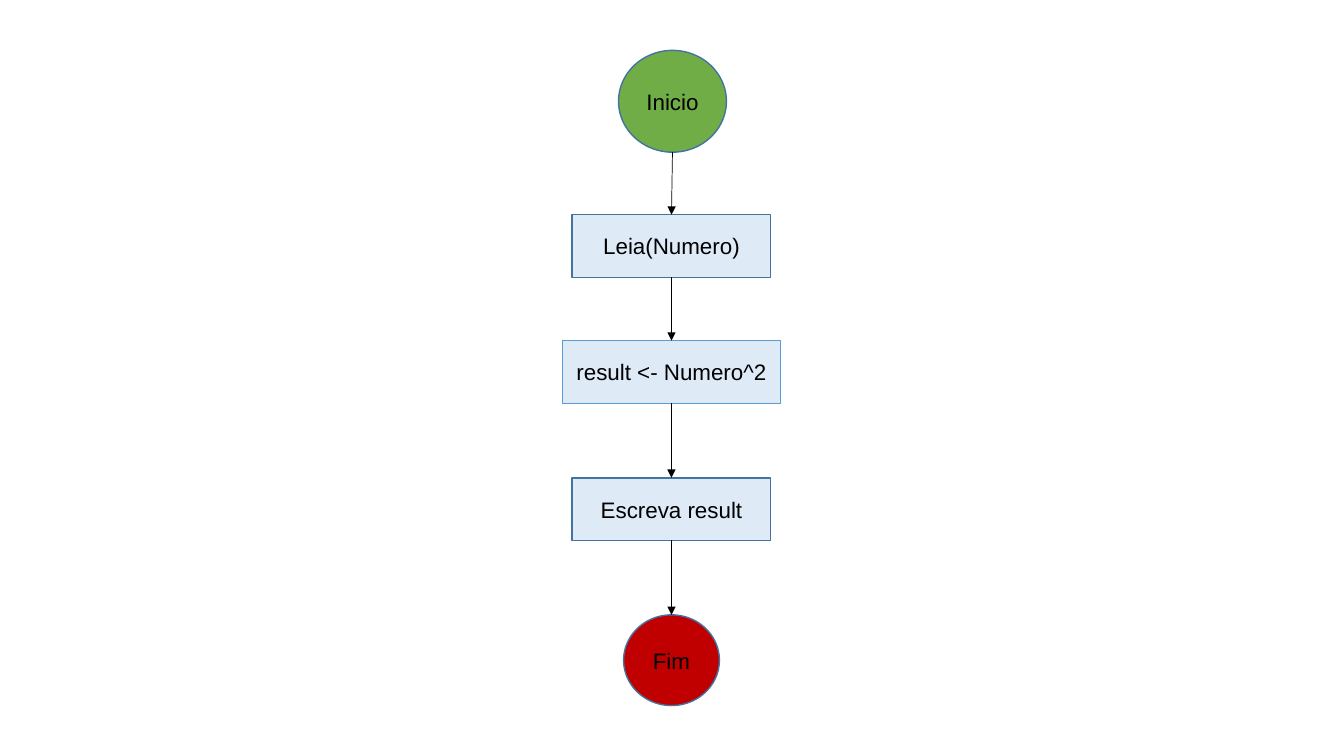
import itertools

import pptx
import pptx.dml.color
import pptx.enum.shapes
import pptx.enum.text
import pptx.oxml
import pptx.oxml.ns
import pptx.util

Inches = pptx.util.Inches
RGBColor = pptx.dml.color.RGBColor
ShapeType = pptx.enum.shapes.MSO_SHAPE

GREEN = RGBColor(0x70, 0xAD, 0x47)
RED = RGBColor(0xC0, 0x00, 0x00)
PALE_BLUE = RGBColor(0xDE, 0xEB, 0xF7)
BLUE = RGBColor(0x5B, 0x9B, 0xD5)
DARK_BLUE = RGBColor(0x43, 0x73, 0x9E)
BLACK = RGBColor(0, 0, 0)

CIRCLE = ShapeType.FLOWCHART_CONNECTOR
BOX = ShapeType.FLOWCHART_PROCESS

# Flowchart steps: text, shape, centre x, top, width, height, fill, outline
STEPS = [
    ("Inicio", CIRCLE, 6.67, 0.5, 1.07, 1.01, GREEN, DARK_BLUE),
    ("Leia(Numero)", BOX, 6.66, 2.13, 1.97, 0.62, PALE_BLUE, DARK_BLUE),
    ("result <- Numero^2", BOX, 6.66, 3.38, 2.16, 0.62, PALE_BLUE, BLUE),
    ("Escreva result", BOX, 6.66, 4.74, 1.97, 0.62, PALE_BLUE, DARK_BLUE),
    ("Fim", CIRCLE, 6.66, 6.1, 0.95, 0.9, RED, DARK_BLUE),
]
FONT = {"name": "Arial", "size": pptx.util.Pt(16)}


def add_step(slide, text, kind, center, top, width, height, fill, outline):
    shape = slide.shapes.add_shape(
        kind, Inches(center - width / 2), Inches(top), Inches(width), Inches(height))
    shape.shadow.inherit = False
    shape.fill.solid()
    shape.fill.fore_color.rgb = fill
    shape.line.color.rgb = outline
    shape.line.width = pptx.util.Pt(1)

    frame = shape.text_frame
    frame.word_wrap = True
    frame.vertical_anchor = pptx.enum.text.MSO_ANCHOR.MIDDLE
    paragraph = frame.paragraphs[0]
    paragraph.alignment = pptx.enum.text.PP_ALIGN.CENTER
    run = paragraph.add_run()
    run.text = text
    for name, value in FONT.items():
        setattr(run.font, name, value)
    run.font.color.rgb = BLACK
    return shape


def add_arrow(slide, upper, lower):
    connector = slide.shapes.add_connector(
        pptx.enum.shapes.MSO_CONNECTOR.STRAIGHT,
        upper.left + upper.width // 2, upper.top + upper.height,
        lower.left + lower.width // 2, lower.top)
    connector.line.color.rgb = BLACK
    connector.line.width = pptx.util.Pt(0.5)
    namespace = pptx.oxml.ns.nsdecls("a")
    connector.line._get_or_add_ln().append(
        pptx.oxml.parse_xml(f'<a:tailEnd {namespace} type="triangle"/>'))
    connector._element.spPr.append(
        pptx.oxml.parse_xml(f"<a:effectLst {namespace}/>"))


presentation = pptx.Presentation()
presentation.slide_width = Inches(13.33)
presentation.slide_height = Inches(7.5)
slide = presentation.slides.add_slide(presentation.slide_layouts[6])

# Steps, then an arrow from each one to the next
shapes = [add_step(slide, *step) for step in STEPS]
for upper, lower in itertools.pairwise(shapes):
    add_arrow(slide, upper, lower)

presentation.save("out.pptx")
